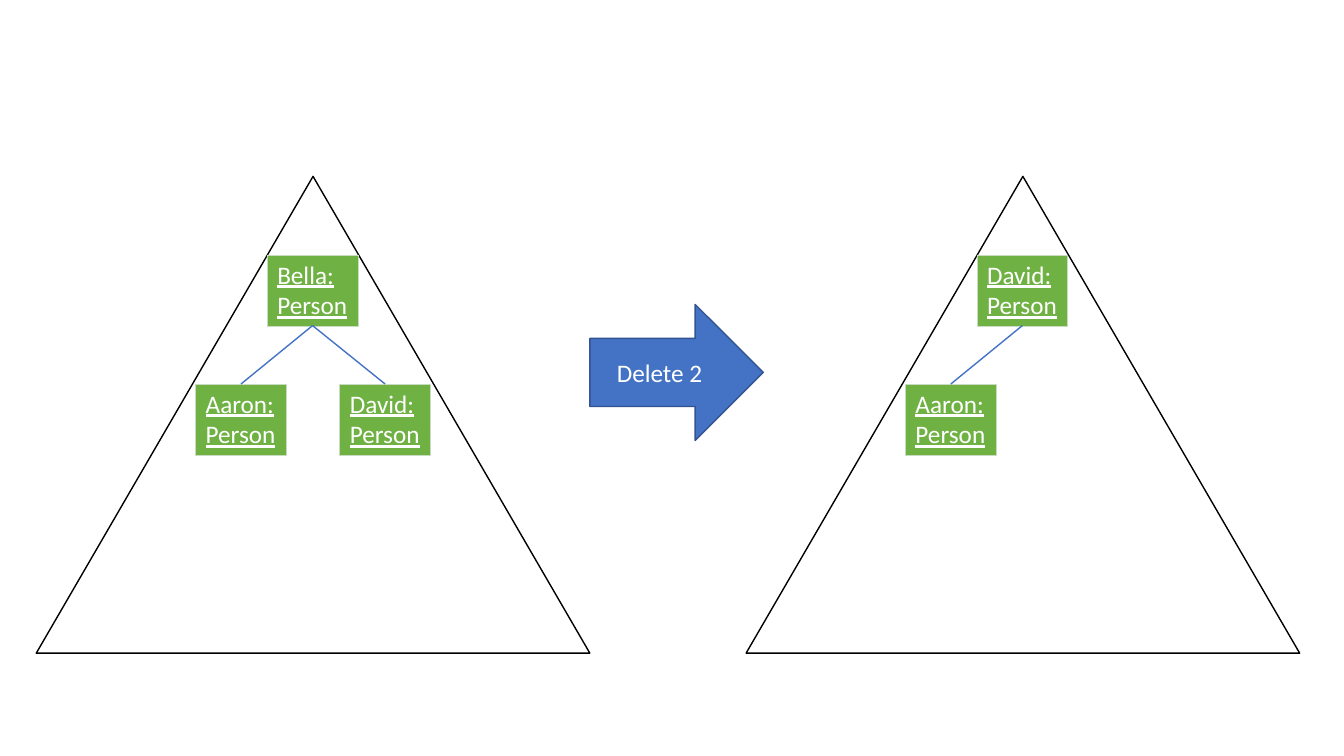
from dataclasses import dataclass

from lxml import etree
from pptx import Presentation
from pptx import util as u
from pptx.dml.color import RGBColor
from pptx.enum import shapes, text
from pptx.oxml.ns import qn

PX = 9144
NODE_W, NODE_H = 90, 70
BLUE, GREEN, WHITE, BLACK = "4472C4", "6FB143", "FFFFFF", "000000"


@dataclass(frozen=True)
class Node:
    name: str
    x: int
    y: int


@dataclass(frozen=True)
class Tree:
    x: int
    root: Node
    children: tuple[Node, ...]


ROOT_X, LEFT_X, RIGHT_X = 229, 158, 301
ROOT_Y, CHILD_Y = 253, 381
TREES = (
    Tree(36, Node("Bella", ROOT_X, ROOT_Y),
         (Node("Aaron", LEFT_X, CHILD_Y), Node("David", RIGHT_X, CHILD_Y))),
    Tree(740, Node("David", ROOT_X, ROOT_Y), (Node("Aaron", LEFT_X, CHILD_Y),)),
)


def px(*values: int) -> list[u.Emu]:
    return [u.Emu(v * PX) for v in values]


def rgb(color: str) -> RGBColor:
    return RGBColor.from_string(color)


def style_text(p, underline: bool = False) -> None:
    p.font.name = "Calibri"
    p.font.size = u.Pt(18)
    p.font.bold = False
    p.font.underline = underline
    p.font.color.rgb = rgb(WHITE)


def add_outlined(s, kind, x: int, y: int, w: int, h: int, line: str):
    sp = s.shapes.add_shape(kind, *px(x, y, w, h))
    sp.shadow.inherit = False
    sp.fill.background()
    sp.line.color.rgb = rgb(line)
    sp.line.width = u.Pt(1)
    return sp


def add_borders(cell, color: str) -> None:
    tc_pr = cell._tc.get_or_add_tcPr()
    for i, side in enumerate(("a:lnL", "a:lnR", "a:lnT", "a:lnB")):
        ln = etree.Element(qn(side), w=str(u.Pt(0.5)))
        fill = etree.SubElement(ln, qn("a:solidFill"))
        etree.SubElement(fill, qn("a:srgbClr"), val=color)
        tc_pr.insert(i, ln)


def add_node(s, node: Node, dx: int) -> None:
    frame = s.shapes.add_table(1, 1, *px(dx + node.x, node.y, NODE_W, NODE_H))
    cell = frame.table.cell(0, 0)
    cell.fill.solid()
    cell.fill.fore_color.rgb = rgb(GREEN)
    add_borders(cell, "C9DBC1")
    tf = cell.text_frame
    tf.text = f"{node.name}:\nPerson"
    for p in tf.paragraphs:
        style_text(p, underline=True)


def add_edge(s, parent: Node, child: Node, dx: int) -> None:
    mid = dx + NODE_W // 2
    line = s.shapes.add_connector(
        shapes.MSO_CONNECTOR.STRAIGHT,
        *px(mid + parent.x, parent.y + NODE_H, mid + child.x, child.y))
    line.line.color.rgb = rgb(BLUE)
    line.line.width = u.Pt(1)
    etree.SubElement(line._element.spPr, qn("a:effectLst"))


def add_tree(s, tree: Tree) -> None:
    add_outlined(s, shapes.MSO_SHAPE.ISOSCELES_TRIANGLE, tree.x, 175, 549, 473, BLACK)
    for node in (tree.root, *tree.children):
        add_node(s, node, tree.x)
    for child in tree.children:
        add_edge(s, tree.root, child, tree.x)


def add_arrow(s) -> None:
    sp = add_outlined(s, shapes.MSO_SHAPE.RIGHT_ARROW, 585, 302, 172, 135, "325491")
    sp.fill.solid()
    sp.fill.fore_color.rgb = rgb(BLUE)
    tf = sp.text_frame
    tf.vertical_anchor = text.MSO_ANCHOR.MIDDLE
    p = tf.paragraphs[0]
    p.text = "Delete 2"
    p.alignment = text.PP_ALIGN.CENTER
    style_text(p)


def main() -> None:
    prs = Presentation()
    prs.slide_width, prs.slide_height = px(1333, 750)
    s = prs.slides.add_slide(prs.slide_layouts[6])
    for tree in TREES:
        add_tree(s, tree)
    add_arrow(s)
    prs.save("out.pptx")


if __name__ == "__main__":
    main()
